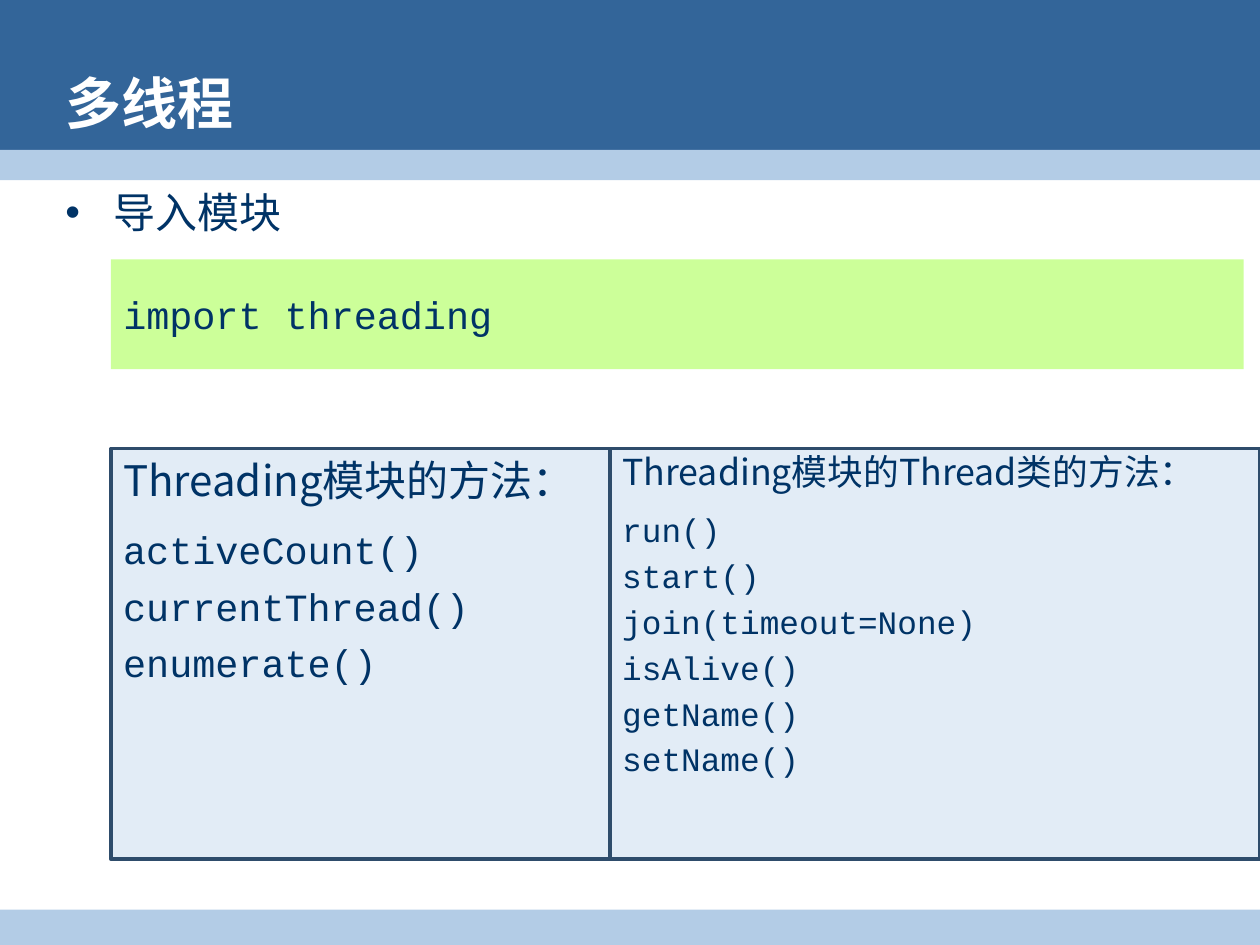
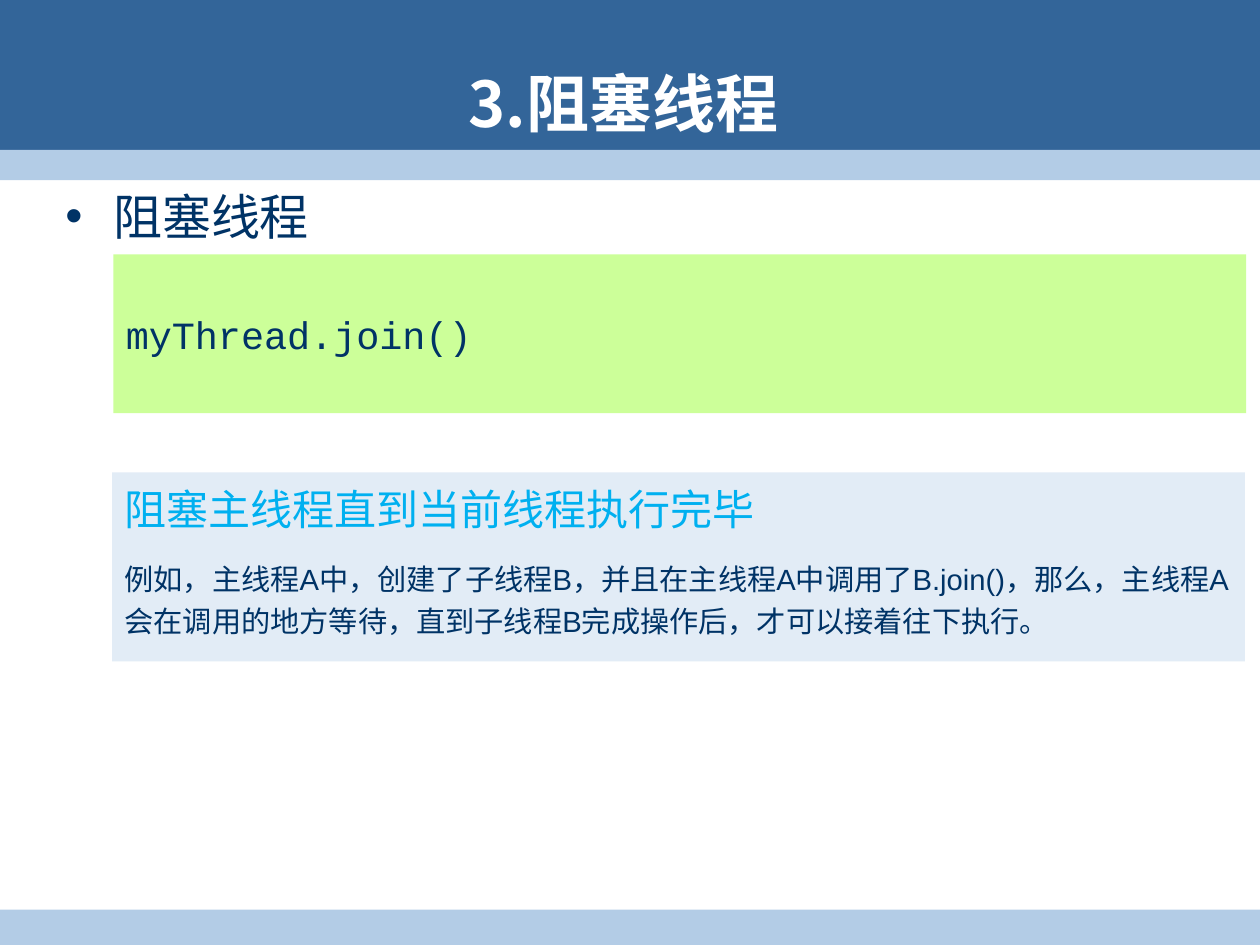
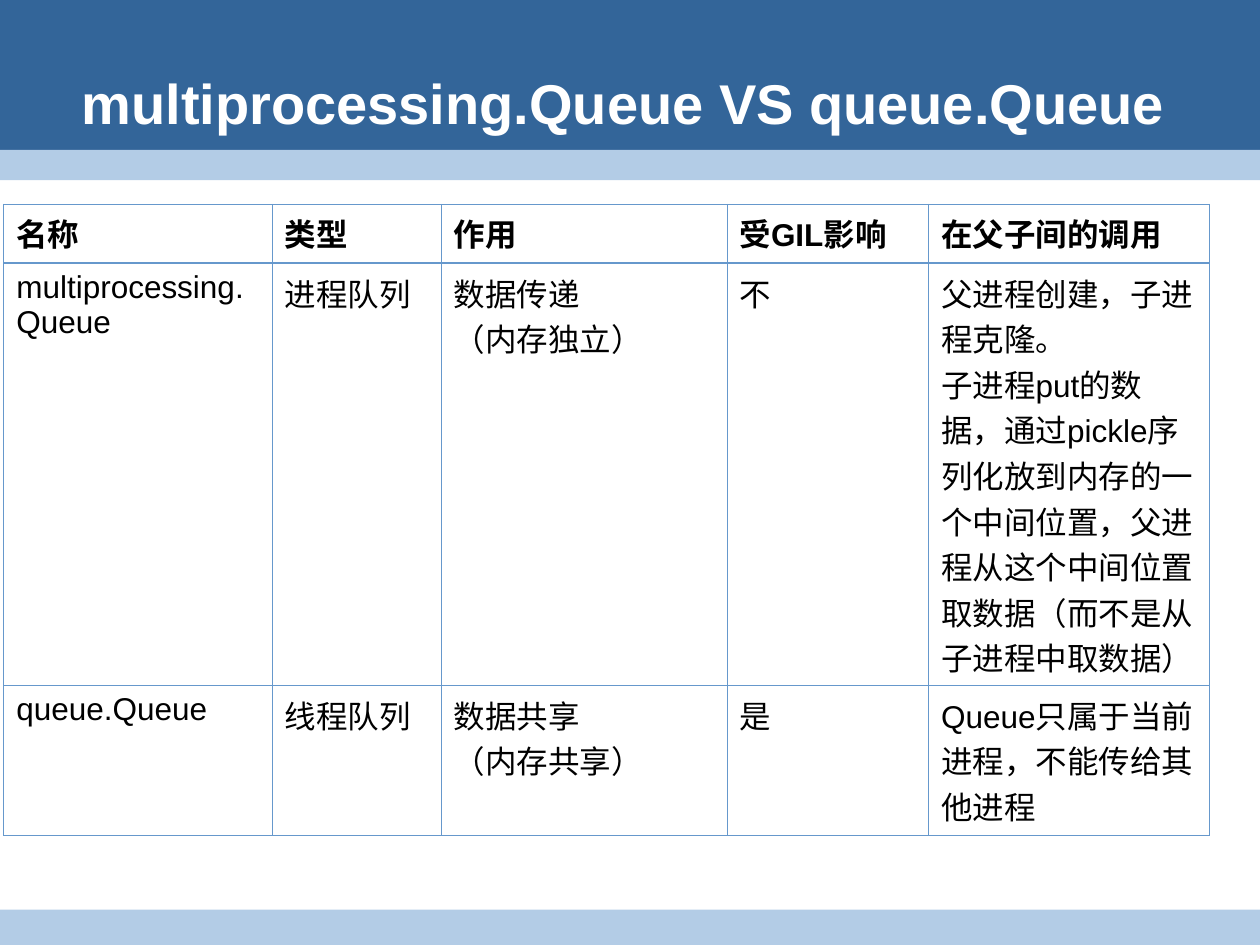
from lxml.etree import SubElement
from pptx import Presentation
from pptx.dml.color import RGBColor
from pptx.enum.shapes import MSO_SHAPE
from pptx.enum.text import MSO_ANCHOR as ANCHOR, PP_ALIGN as ALIGN
from pptx.oxml.ns import qn
from pptx.util import Inches, Pt

BAND_BLUE = RGBColor(0x33, 0x65, 0x99)
BAND_PALE = RGBColor(0xB3, 0xCC, 0xE6)
NAVY = RGBColor(0x00, 0x33, 0x66)
WHITE = RGBColor(0xFF, 0xFF, 0xFF)
BLACK = RGBColor(0x00, 0x00, 0x00)
CODE_GREEN = RGBColor(0xCC, 0xFF, 0x99)
PANEL_FILL = RGBColor(0xE2, 0xEC, 0xF6)
PANEL_EDGE = RGBColor(0x2E, 0x4C, 0x6B)
HIGHLIGHT = RGBColor(0x00, 0xB0, 0xF0)
GRID_BLUE = RGBColor(0x66, 0x98, 0xCC)

SANS, CJK, MONO = "Arial", "Noto Sans CJK SC", "Courier New"
THIN, THICK = 0.45, 1.47

MODULE_METHODS = ["activeCount()", "currentThread()", "enumerate()"]
THREAD_METHODS = ["run()", "start()", "join(timeout=None)", "isAlive()",
                  "getName()", "setName()"]
JOIN_EXAMPLE = ("例如，主线程A中，创建了子线程B，并且在主线程A中调用了B.join()，那么，"
                "主线程A会在调用的地方等待，直到子线程B完成操作后，才可以接着往下执行。")

QUEUE_COLUMNS = [2.13, 1.34, 2.27, 1.6, 2.23]
QUEUE_HEIGHTS = [0.47, 3.35, 1.19]
QUEUE_ROWS = [
    ["名称", "类型", "作用", "受GIL影响", "在父子间的调用"],
    ["multiprocessing.Queue", "进程队列", "数据传递\n（内存独立）", "不",
     "父进程创建，子进程克隆。\n子进程put的数据，通过pickle序列化放到内存的一个中间位置，"
     "父进程从这个中间位置取数据（而不是从子进程中取数据）"],
    ["queue.Queue", "线程队列", "数据共享\n（内存共享）", "是",
     "Queue只属于当前进程，不能传给其他进程"],
]


def add_text(frame, text, size, font=SANS, color=NAVY, bold=False,
             align=ALIGN.LEFT, after=0, spacing=None):
    """Add one paragraph, using the empty first one if it is still free."""
    first = frame.paragraphs[0]
    paragraph = frame.add_paragraph() if first.runs else first
    paragraph.alignment = align
    paragraph.space_after = Pt(after)
    paragraph._p.get_or_add_pPr().set("hangingPunct", "0")
    if spacing:
        paragraph.line_spacing = spacing
    run = paragraph.add_run()
    run.text = text
    run.font.name = font
    run.font.size = Pt(size)
    run.font.bold = bold
    run.font.color.rgb = color
    SubElement(run._r.get_or_add_rPr(), qn("a:ea"), typeface=CJK)
    return paragraph


def add_box(slide, left, top, width, height, fill, edge=None, anchor=ANCHOR.MIDDLE):
    box = slide.shapes.add_shape(MSO_SHAPE.RECTANGLE, Inches(left), Inches(top),
                                 Inches(width), Inches(height))
    box.shadow.inherit = False
    box.fill.solid()
    box.fill.fore_color.rgb = fill
    if edge:
        box.line.color.rgb = edge
        box.line.width = Pt(2)
    else:
        box.line.fill.background()
    box.text_frame.word_wrap = True
    box.text_frame.vertical_anchor = anchor
    return box.text_frame


def add_text_area(slide, left, top, width, height, anchor=ANCHOR.TOP):
    frame = slide.shapes.add_textbox(Inches(left), Inches(top), Inches(width),
                                     Inches(height)).text_frame
    frame.word_wrap = True
    frame.vertical_anchor = anchor
    return frame


def add_titled_slide(deck, title, size=32, font=SANS, align=ALIGN.CENTER):
    """Add a blank slide with the shared bands and its title."""
    slide = deck.slides.add_slide(deck.slide_layouts[6])
    add_box(slide, 0, 0, 10, 1.31, BAND_BLUE)
    add_box(slide, 0, 1.19, 10, 0.24, BAND_PALE)
    add_box(slide, 0, 7.22, 10, 0.3, BAND_PALE)
    heading = add_text_area(slide, 0.42, 0.52, 9.06, 0.58, ANCHOR.MIDDLE)
    add_text(heading, title, size, font, WHITE, bold=True, align=align)
    return slide


def add_bullet(slide, text, size):
    body = add_text_area(slide, 0.42, 1.43, 9.48, 5.83)
    properties = add_text(body, text, size, CJK, after=12)._p.get_or_add_pPr()
    properties.set("marL", str(Inches(0.38)))
    properties.set("indent", str(-Inches(0.38)))
    SubElement(properties, qn("a:buFont"), typeface=SANS)
    SubElement(properties, qn("a:buChar"), char="•")


def add_code(slide, left, top, height, code):
    add_text(add_box(slide, left, top, 8.99, height, CODE_GREEN), code, 22, MONO)


def add_method_panel(slide, left, width, heading, methods, heading_size,
                     method_size, spacing=None):
    panel = add_box(slide, left, 3.56, width, 3.26, PANEL_FILL, PANEL_EDGE, ANCHOR.TOP)
    add_text(panel, heading, heading_size, CJK, after=12, spacing=spacing)
    for method in methods:
        add_text(panel, method, method_size, MONO, after=6, spacing=spacing)


def set_borders(cell, **widths):
    properties = cell._tc.get_or_add_tcPr()
    for side in "LRTB":
        line = SubElement(properties, qn(f"a:ln{side}"),
                          w=str(Pt(widths.get(side, THIN))))
        fill = SubElement(line, qn("a:solidFill"))
        SubElement(fill, qn("a:srgbClr"), val=str(GRID_BLUE))


def add_queue_table(slide):
    table = slide.shapes.add_table(
        len(QUEUE_ROWS), len(QUEUE_COLUMNS), Inches(0.03), Inches(1.62),
        Inches(sum(QUEUE_COLUMNS)), Inches(sum(QUEUE_HEIGHTS))).table
    table.first_row = table.horz_banding = False
    for column, width in zip(table.columns, QUEUE_COLUMNS):
        column.width = Inches(width)
    for row, height in zip(table.rows, QUEUE_HEIGHTS):
        row.height = Inches(height)
    header_rule = [{"B": THICK}, {"T": THICK}, {}]
    for r, texts in enumerate(QUEUE_ROWS):
        for c, text in enumerate(texts):
            cell = table.cell(r, c)
            set_borders(cell, **header_rule[r])
            cell.fill.background()
            for line in text.split("\n"):
                add_text(cell.text_frame, line, 18, color=BLACK, bold=r == 0)


def build_threading(deck):
    slide = add_titled_slide(deck, "多线程", align=ALIGN.LEFT)
    add_bullet(slide, "导入模块", 24)
    add_code(slide, 0.88, 2.06, 0.87, "import threading")
    add_method_panel(slide, 0.88, 4.8, "Threading模块的方法：", MODULE_METHODS, 24, 22)
    add_method_panel(slide, 4.84, 5.16, "Threading模块的Thread类的方法：",
                     THREAD_METHODS, 20.4, 18.7, spacing=0.9)


def build_blocking(deck):
    slide = add_titled_slide(deck, "3.阻塞线程", 36, CJK)
    add_bullet(slide, "阻塞线程", 28)
    add_code(slide, 0.9, 2.02, 1.26, "myThread.join()")
    note = add_box(slide, 0.89, 3.75, 8.99, 1.5, PANEL_FILL)
    add_text(note, "阻塞主线程直到当前线程执行完毕", 24, color=HIGHLIGHT,
             after=12, spacing=Pt(22))
    add_text(note, JOIN_EXAMPLE, 16.7, after=6, spacing=1.2)


def build_queues(deck):
    slide = add_titled_slide(deck, "multiprocessing.Queue VS queue.Queue")
    add_queue_table(slide)


def main():
    deck = Presentation()
    deck.slide_width, deck.slide_height = Inches(10), Inches(7.5)
    build_threading(deck)
    build_blocking(deck)
    build_queues(deck)
    deck.save("out.pptx")


if __name__ == "__main__":
    main()
